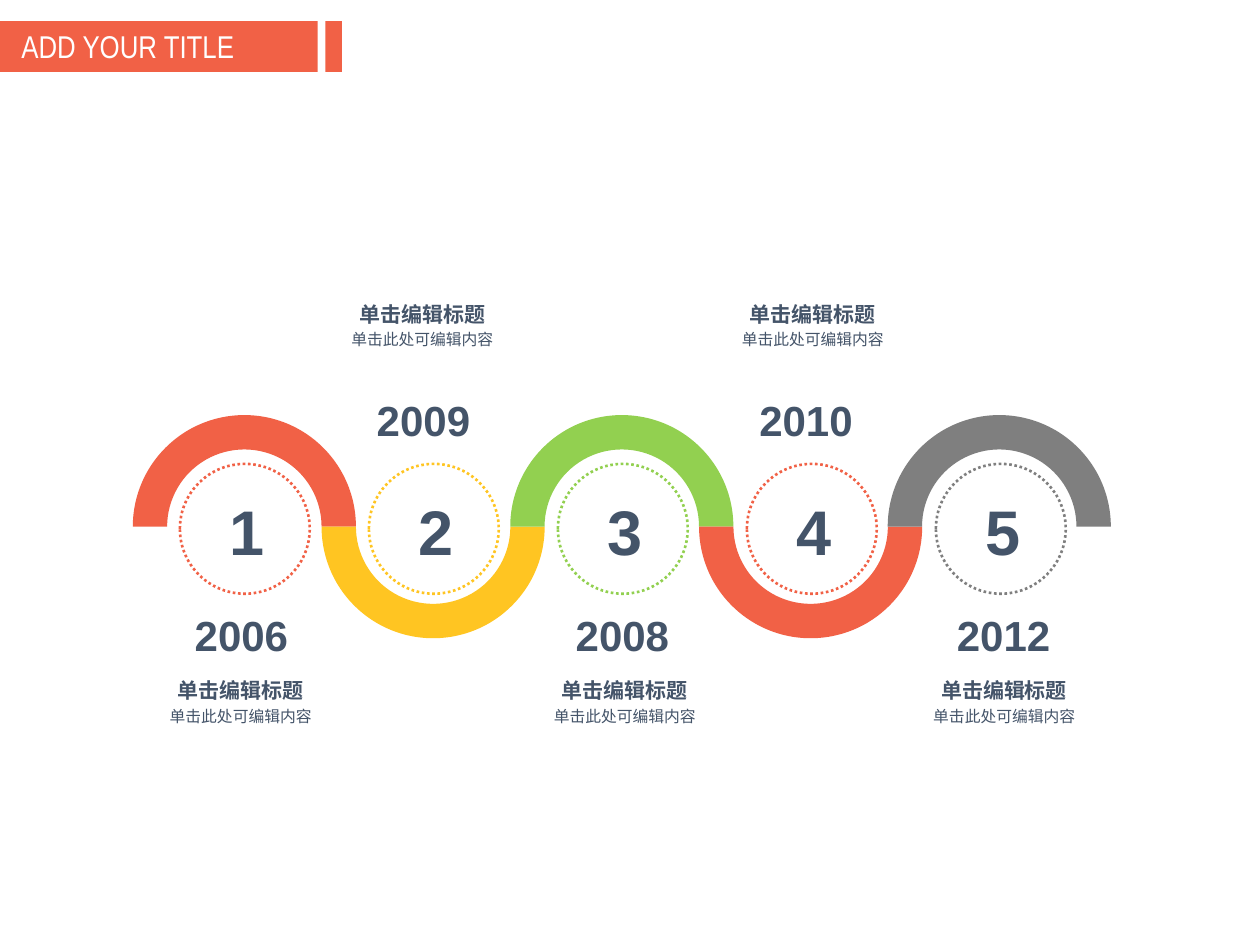
import pptx
import pptx.dml.color
import pptx.enum.dml
import pptx.enum.shapes
import pptx.enum.text
import pptx.util

Pt = pptx.util.Pt
Shape = pptx.enum.shapes.MSO_SHAPE
Align = pptx.enum.text.PP_ALIGN
Anchor = pptx.enum.text.MSO_ANCHOR

RED = "F16146"
YELLOW = "FFC522"
GREEN = "92D050"
GRAY = "7F7F7F"
SLATE = "445469"
WHITE = "FFFFFF"


def color(value):
    return pptx.dml.color.RGBColor.from_string(value)


class TimelinePage:
    font = "Arial"
    title_font = "Arial Narrow"

    def __init__(self, deck):
        self.page = deck.slides.add_slide(deck.slide_layouts[5])

    def set_text(self, box, text, size, ink=SLATE, bold=False, font=font,
                 align=Align.CENTER, anchor=Anchor.TOP, insets=(0, 0, 0, 0),
                 wrap=True, before=0):
        frame = box.text_frame
        frame.auto_size = pptx.enum.text.MSO_AUTO_SIZE.NONE
        frame.word_wrap = wrap
        frame.vertical_anchor = anchor
        (frame.margin_left, frame.margin_top,
         frame.margin_right, frame.margin_bottom) = map(Pt, insets)
        para = frame.paragraphs[0]
        para.text = text
        para.alignment = align
        para.space_before = Pt(before)
        para.font.name = font
        para.font.size = Pt(size)
        para.font.bold = bold
        para.font.color.rgb = color(ink)

    def title(self, text, left, top, width, height):
        box = self.page.shapes.title
        box.left, box.top = Pt(left), Pt(top)
        box.width, box.height = Pt(width), Pt(height)
        box.element.getparent().append(box.element)
        self.set_text(box, text, 18, WHITE, font=self.title_font,
                      align=Align.LEFT, insets=(7.2, 3.6, 7.2, 3.6))

    def shape(self, kind, left, top, width, height, fill=None):
        shape = self.page.shapes.add_shape(
            kind, Pt(left), Pt(top), Pt(width), Pt(height))
        shape.shadow.inherit = False
        shape.line.fill.background()
        if fill:
            shape.fill.solid()
            shape.fill.fore_color.rgb = color(fill)
        else:
            shape.fill.background()
        return shape

    def arc(self, left, top, size, fill, below):
        arc = self.shape(Shape.BLOCK_ARC, left, top, size, size, fill)
        arc.adjustments[2] = 0.154
        arc.rotation = 180 if below else 0

    def number(self, text, left, top, size, outline):
        ring = self.shape(Shape.OVAL, left, top, size, size)
        ring.line.color.rgb = color(outline)
        ring.line.width = Pt(1.5)
        ring.line.dash_style = pptx.enum.dml.MSO_LINE.ROUND_DOT
        self.set_text(ring, text, 36, bold=True, anchor=Anchor.MIDDLE,
                      insets=(3.6, 3.6, 1.4, 1.4))

    def label(self, text, center, top, width, height, size, **style):
        box = self.page.shapes.add_textbox(
            Pt(center - width / 2), Pt(top), Pt(width), Pt(height))
        self.set_text(box, text, size, **style)


def main():
    deck = pptx.Presentation()
    deck.slide_width, deck.slide_height = Pt(720), Pt(540)
    timeline = TimelinePage(deck)

    timeline.shape(Shape.RECTANGLE, 0, 12.1, 181.6, 29, RED)
    timeline.shape(Shape.RECTANGLE, 185.9, 12.1, 9.5, 29, RED)
    timeline.title("ADD YOUR TITLE", 5, 12.1, 171.4, 29)

    steps = [
        ("2006", RED, 138, 137.5),
        ("2009", YELLOW, 242, 241.3),
        ("2008", GREEN, 355.7, 357),
        ("2010", RED, 460.6, 464.4),
        ("2012", GRAY, 573.5, 573.8),
    ]
    for index, (_, accent, _, _) in enumerate(steps):
        timeline.arc(75.9 + 107.85 * index, 237.2, 127.5, accent, index % 2)
    for index, (year, accent, year_center, text_center) in enumerate(steps):
        timeline.number(str(index + 1), 102.8 + 108 * index, 265.1, 74.2, accent)
        above = index % 2
        year_top = 225.4 if above else 348.5
        heading_top = 172.1 if above else 387.4
        timeline.label(year, year_center, year_top, 53.3, 28.8, 24, bold=True,
                       anchor=Anchor.MIDDLE, wrap=False, before=6)
        timeline.label("单击编辑标题", text_center, heading_top, 115.2, 14.4, 12,
                       bold=True, before=3)
        timeline.label("单击此处可编辑内容", text_center, heading_top + 16.5,
                       110.2, 10.8, 9, before=2.2)

    deck.save("out.pptx")


if __name__ == "__main__":
    main()
